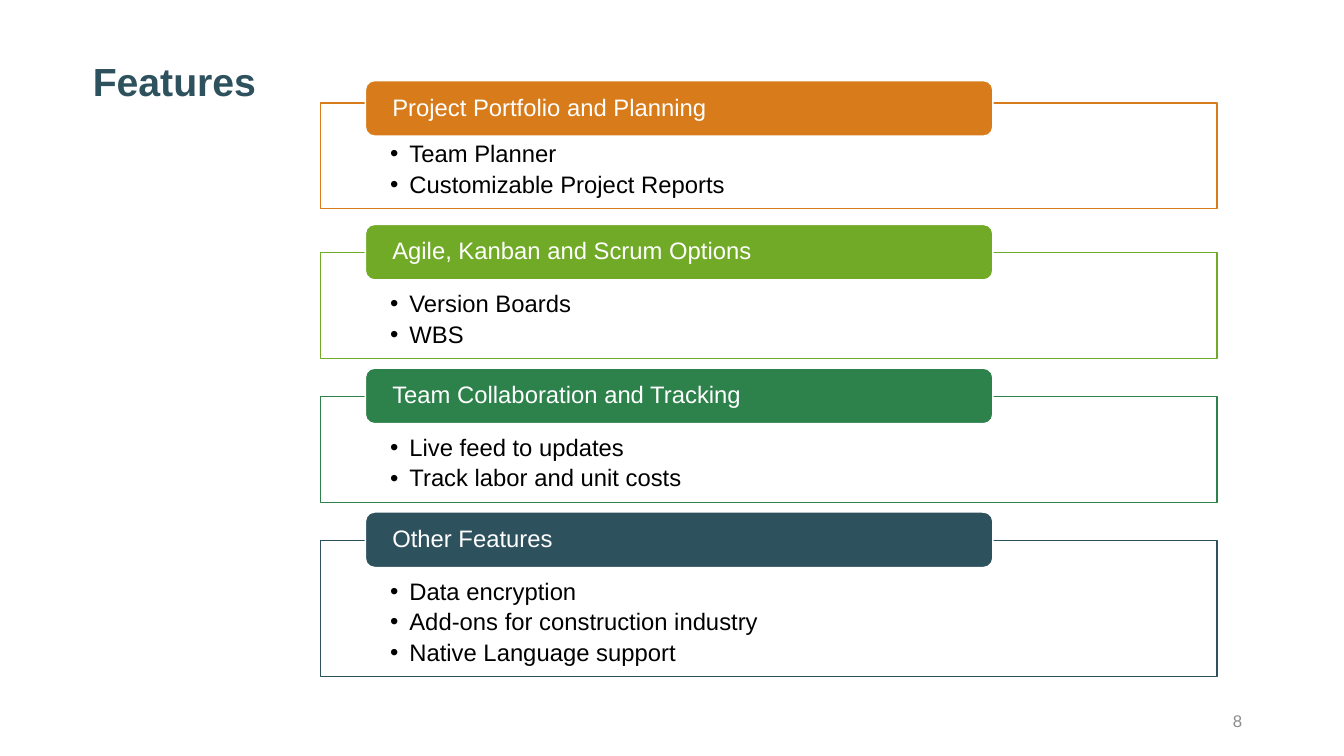
from lxml.etree import SubElement
from pptx import Presentation
from pptx.dml.color import RGBColor
from pptx.enum.shapes import MSO_SHAPE as Shape
from pptx.enum.text import MSO_ANCHOR as Anchor, MSO_AUTO_SIZE as AutoSize, PP_ALIGN as Align
from pptx.oxml.ns import qn
from pptx.util import Inches, Pt

FEATURES = [
    ("Project Portfolio and Planning", "D87C1B", 0.22,
     ["Team Planner", "Customizable Project Reports"]),
    ("Agile, Kanban and Scrum Options", "71AA26", 0.28,
     ["Version Boards", "WBS"]),
    ("Team Collaboration and Tracking", "2D824B", 0.28,
     ["Live feed to updates", "Track labor and unit costs"]),
    ("Other Features", "2E515E", 0.28,
     ["Data encryption", "Add-ons for construction industry", "Native Language support"]),
]


def rgb(value):
    """Turn a hex string into a colour."""
    return RGBColor.from_string(value)


def add_bullet(paragraph, indent):
    """Give a paragraph a hanging round bullet."""
    properties = paragraph._p.get_or_add_pPr()
    properties.set("marL", str(Inches(indent)))
    properties.set("indent", str(-Inches(indent)))
    SubElement(properties, qn("a:buFont")).set("typeface", "Arial")
    SubElement(properties, qn("a:buChar")).set("char", "•")


def write_text(shape, lines, size, color, bold=False, align=Align.LEFT, anchor=Anchor.MIDDLE,
               insets=(0, 0, 0, 0), line_spacing=0.9, space_after=0, bullet_indent=0):
    """Write formatted lines of text into a shape."""
    frame = shape.text_frame
    frame.text = "\n".join(lines)
    frame.word_wrap = True
    frame.auto_size = AutoSize.NONE
    frame.vertical_anchor = anchor
    frame.margin_left, frame.margin_top, frame.margin_right, frame.margin_bottom = map(Inches, insets)
    for paragraph in frame.paragraphs:
        paragraph.alignment = align
        paragraph.line_spacing = line_spacing
        paragraph.space_before = Pt(0)
        paragraph.space_after = Pt(space_after)
        font = paragraph.runs[0].font
        font.name, font.size, font.bold = "Arial", Pt(size), bold
        font.color.rgb = rgb(color)
        if bullet_indent:
            add_bullet(paragraph, bullet_indent)


def add_box(slide, kind, box, fill, line):
    """Add a filled and outlined shape without shadow."""
    shape = slide.shapes.add_shape(kind, *map(Inches, box))
    shape.shadow.inherit = False
    shape.fill.solid()
    shape.fill.fore_color.rgb = rgb(fill)
    shape.line.color.rgb = rgb(line)
    shape.line.width = Pt(1)
    return shape


def add_title(slide, text, box):
    """Place and format the slide title."""
    title = slide.shapes.title
    title.left, title.top, title.width, title.height = map(Inches, box)
    write_text(title, [text], 28, "2E515E", bold=True, anchor=Anchor.TOP)


def add_feature(slide, left, top, width, heading, color, overlap, items):
    """Add a bulleted frame with a heading tab over its upper edge."""
    frame_box = (left, top + overlap, width, 0.45 + 0.3 * len(items))
    frame = add_box(slide, Shape.RECTANGLE, frame_box, "FFFFFF", color)
    write_text(frame, items, 17, "000000", anchor=Anchor.TOP, insets=(0.69, 0.39, 0.69, 0.13),
               space_after=3.4, bullet_indent=0.19)
    tab_box = (left + 0.05 * width, top, 0.7 * width, 0.55)
    tab = add_box(slide, Shape.ROUNDED_RECTANGLE, tab_box, color, "FFFFFF")
    write_text(tab, [heading], 17, "FFFFFF", insets=(0.24, 0, 0.24, 0))


def add_features(slide, left, top, width, pitch):
    """Stack the feature groups at equal steps."""
    for index, feature in enumerate(FEATURES):
        add_feature(slide, left, top + index * pitch, width, *feature)


def add_page_number(slide, number, box):
    """Add the page number at the right of its box."""
    shape = slide.shapes.add_textbox(*map(Inches, box))
    write_text(shape, [number], 12, "8C8C8C", align=Align.RIGHT,
               insets=(0.1, 0.05, 0.1, 0.05), line_spacing=1.0)


def main():
    """Build and save the features slide."""
    presentation = Presentation()
    presentation.slide_width, presentation.slide_height = Inches(13.33), Inches(7.5)
    slide = presentation.slides.add_slide(presentation.slide_layouts[5])
    add_title(slide, "Features", (0.92, 0.62, 11.52, 0.96))
    add_page_number(slide, "8", (9.42, 6.95, 3, 0.4))
    add_features(slide, left=3.18, top=0.8, width=8.89, pitch=4.28 / 3)
    presentation.save("out.pptx")


if __name__ == "__main__":
    main()
